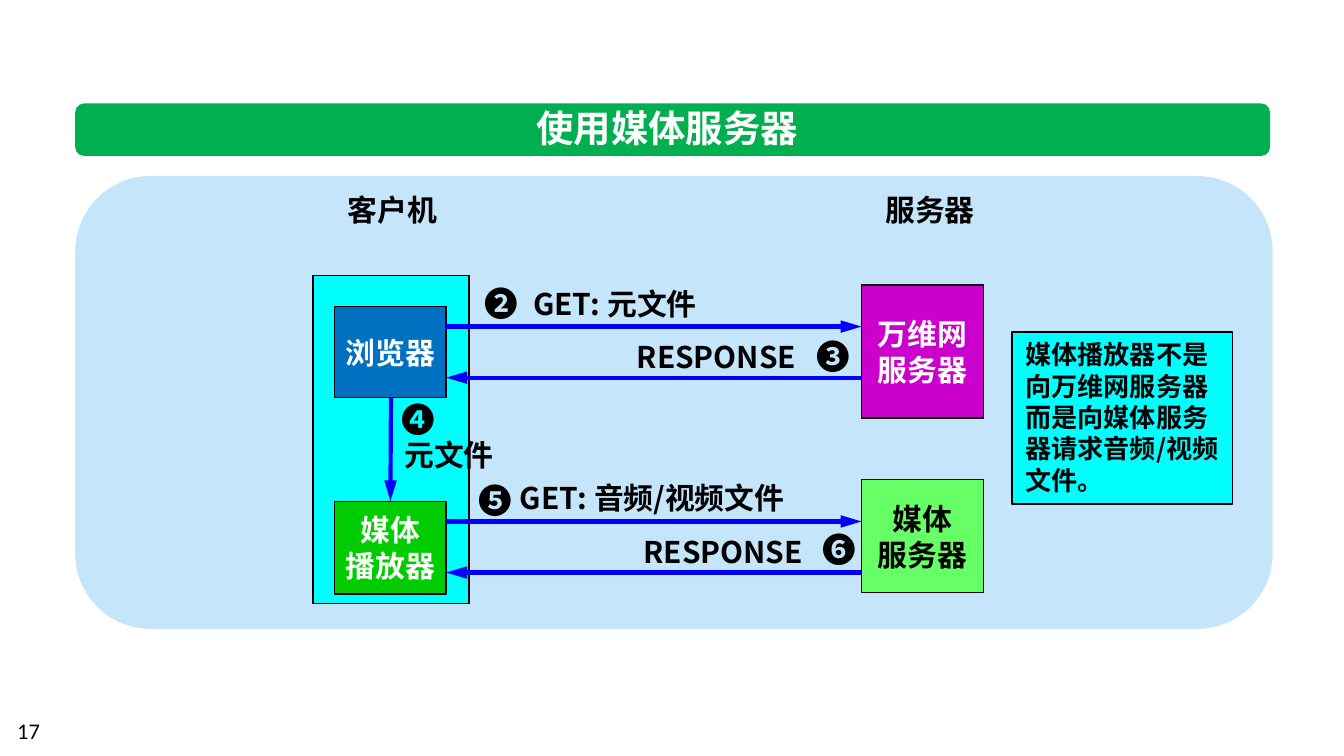
from typing import NamedTuple, Optional

from lxml.etree import SubElement
from pptx import Presentation
from pptx.dml.color import RGBColor
from pptx.enum.shapes import MSO_CONNECTOR, MSO_SHAPE
from pptx.enum.text import MSO_ANCHOR, PP_ALIGN
from pptx.oxml.ns import qn
from pptx.util import Inches, Pt

BLACK = RGBColor(0x00, 0x00, 0x00)
WHITE = RGBColor(0xFF, 0xFF, 0xFF)
PALE_BLUE = RGBColor(0xC5, 0xE5, 0xFB)
BANNER_GREEN = RGBColor(0x00, 0xB0, 0x50)
CYAN = RGBColor(0x00, 0xFF, 0xFF)
PURPLE = RGBColor(0xCC, 0x00, 0xCC)
PLAYER_GREEN = RGBColor(0x00, 0xCC, 0x00)
BROWSER_BLUE = RGBColor(0x00, 0x70, 0xC0)
LIGHT_GREEN = RGBColor(0x66, 0xFF, 0x66)
ARROW_BLUE = RGBColor(0x00, 0x00, 0xFF)
CJK_FONT = "Noto Sans CJK SC"
CLIENT_EDGE, SERVER_EDGE = 3.32, 6.41


class Area(NamedTuple):
    left: float
    top: float
    width: float
    height: float


class Box(NamedTuple):
    area: Area
    fill: RGBColor
    lines: tuple[str, ...] = ()
    color: RGBColor = WHITE


class Label(NamedTuple):
    text: str
    area: Area
    size: int = 16


class Message(NamedTuple):
    y: float
    to_server: bool
    number: Label
    caption: Label


def write(shape, lines: tuple[str, ...], size: int, color: RGBColor,
          align: PP_ALIGN = PP_ALIGN.LEFT, anchor: MSO_ANCHOR = MSO_ANCHOR.TOP,
          wrap: bool = True, font: str = CJK_FONT) -> None:
    frame = shape.text_frame
    frame.word_wrap = wrap
    frame.vertical_anchor = anchor
    frame.text = "\n".join(lines)
    for paragraph in frame.paragraphs:
        paragraph.alignment = align
        paragraph.font.size = Pt(size)
        paragraph.font.name = font
        paragraph.font.bold = font == CJK_FONT
        paragraph.font.color.rgb = color
        if font == CJK_FONT:
            for run in paragraph.runs:
                SubElement(run.font._element, qn("a:ea"), typeface=font)


def add_block(slide, kind: MSO_SHAPE, area: Area, fill: RGBColor,
              outline: Optional[RGBColor] = None):
    block = slide.shapes.add_shape(kind, *map(Inches, area))
    block.shadow.inherit = False
    block.fill.solid()
    block.fill.fore_color.rgb = fill
    if outline is None:
        block.line.fill.background()
    else:
        block.line.color.rgb = outline
        block.line.width = Pt(0.75)
    return block


def add_box(slide, box: Box):
    block = add_block(slide, MSO_SHAPE.RECTANGLE, box.area, box.fill, BLACK)
    if box.lines:
        write(block, box.lines, 16, box.color, PP_ALIGN.CENTER, MSO_ANCHOR.MIDDLE, False)
    return block


def add_label(slide, label: Label, color: RGBColor = BLACK,
              align: PP_ALIGN = PP_ALIGN.LEFT, font: str = CJK_FONT) -> None:
    text_box = slide.shapes.add_textbox(*map(Inches, label.area))
    write(text_box, (label.text,), label.size, color, align, font=font)


def add_arrow(slide, x1: float, y1: float, x2: float, y2: float):
    arrow = slide.shapes.add_connector(
        MSO_CONNECTOR.STRAIGHT, Inches(x1), Inches(y1), Inches(x2), Inches(y2))
    arrow.line.color.rgb = ARROW_BLUE
    arrow.line.width = Pt(2.25)
    SubElement(arrow.line._get_or_add_ln(), qn("a:tailEnd"),
               type="triangle", w="med", len="lg")
    SubElement(arrow._element.spPr, qn("a:effectLst"))
    return arrow


def add_message(slide, message: Message) -> None:
    start, end = CLIENT_EDGE, SERVER_EDGE
    if not message.to_server:
        start, end = end, start
    add_arrow(slide, start, message.y, end, message.y)
    add_label(slide, message.number)
    add_label(slide, message.caption)


CLIENT = Box(Area(2.33, 2.05, 1.16, 2.44), CYAN)
WEB_SERVER = Box(Area(6.41, 2.12, 0.91, 0.99), PURPLE, ("万维网", "服务器"))
PLAYER = Box(Area(2.49, 3.73, 0.83, 0.69), PLAYER_GREEN, ("媒体", "播放器"))
BROWSER = Box(Area(2.49, 2.28, 0.83, 0.68), BROWSER_BLUE, ("浏览器",))
MEDIA_SERVER = Box(Area(6.41, 3.57, 0.91, 0.84), LIGHT_GREEN, ("媒体", "服务器"), BLACK)

MESSAGES = (
    Message(2.43, True, Label("❷", Area(3.51, 2.06, 0.5, 0.4), 18),
            Label("GET: 元文件", Area(3.87, 2.08, 1.55, 0.4))),
    Message(2.81, False, Label("❸", Area(5.98, 2.45, 0.49, 0.4), 18),
            Label("RESPONSE", Area(4.64, 2.47, 1.5, 0.4))),
    Message(3.88, True, Label("❺", Area(3.46, 3.52, 0.43, 0.4), 18),
            Label("GET: 音频/视频文件", Area(3.77, 3.52, 2.38, 0.4))),
    Message(4.26, False, Label("❻", Area(6.02, 3.89, 0.49, 0.4), 18),
            Label("RESPONSE", Area(4.69, 3.92, 1.5, 0.4))),
)
LABELS = (
    Label("❹", Area(2.89, 2.92, 0.49, 0.4), 18),
    Label("元文件", Area(2.91, 3.2, 0.94, 0.4)),
    Label("客户机", Area(2.49, 1.38, 0.94, 0.4)),
    Label("服务器", Area(6.49, 1.38, 0.94, 0.4)),
)


def main() -> None:
    deck = Presentation()
    deck.slide_width = Inches(10)
    deck.slide_height = deck.slide_width * 9 // 16
    slide = deck.slides.add_slide(deck.slide_layouts[6])

    add_block(slide, MSO_SHAPE.ROUNDED_RECTANGLE, Area(0.56, 1.31, 8.91, 3.37), PALE_BLUE)
    add_block(slide, MSO_SHAPE.ROUNDED_RECTANGLE, Area(0.56, 0.77, 8.89, 0.39), BANNER_GREEN)
    add_label(slide, Label("使用媒体服务器", Area(3.84, 0.73, 2.25, 0.44), 20),
              WHITE, PP_ALIGN.CENTER)

    add_box(slide, CLIENT)
    add_box(slide, WEB_SERVER)
    player = add_box(slide, PLAYER)
    metafile_arrow = add_arrow(slide, 2.91, 2.81, 2.91, 3.73)
    metafile_arrow.end_connect(player, 0)
    add_box(slide, BROWSER)
    for message in MESSAGES:
        add_message(slide, message)
    add_box(slide, MEDIA_SERVER)
    for label in LABELS:
        add_label(slide, label)

    note = add_block(slide, MSO_SHAPE.RECTANGLE, Area(7.53, 2.47, 1.64, 1.28), CYAN, BLACK)
    write(note, ("媒体播放器不是向万维网服务器而是向媒体服务器请求音频/视频文件。",), 14, BLACK)
    add_label(slide, Label("17", Area(0.03, 5.29, 2.33, 0.3), 12), font="Calibri")

    deck.save("out.pptx")


if __name__ == "__main__":
    main()
